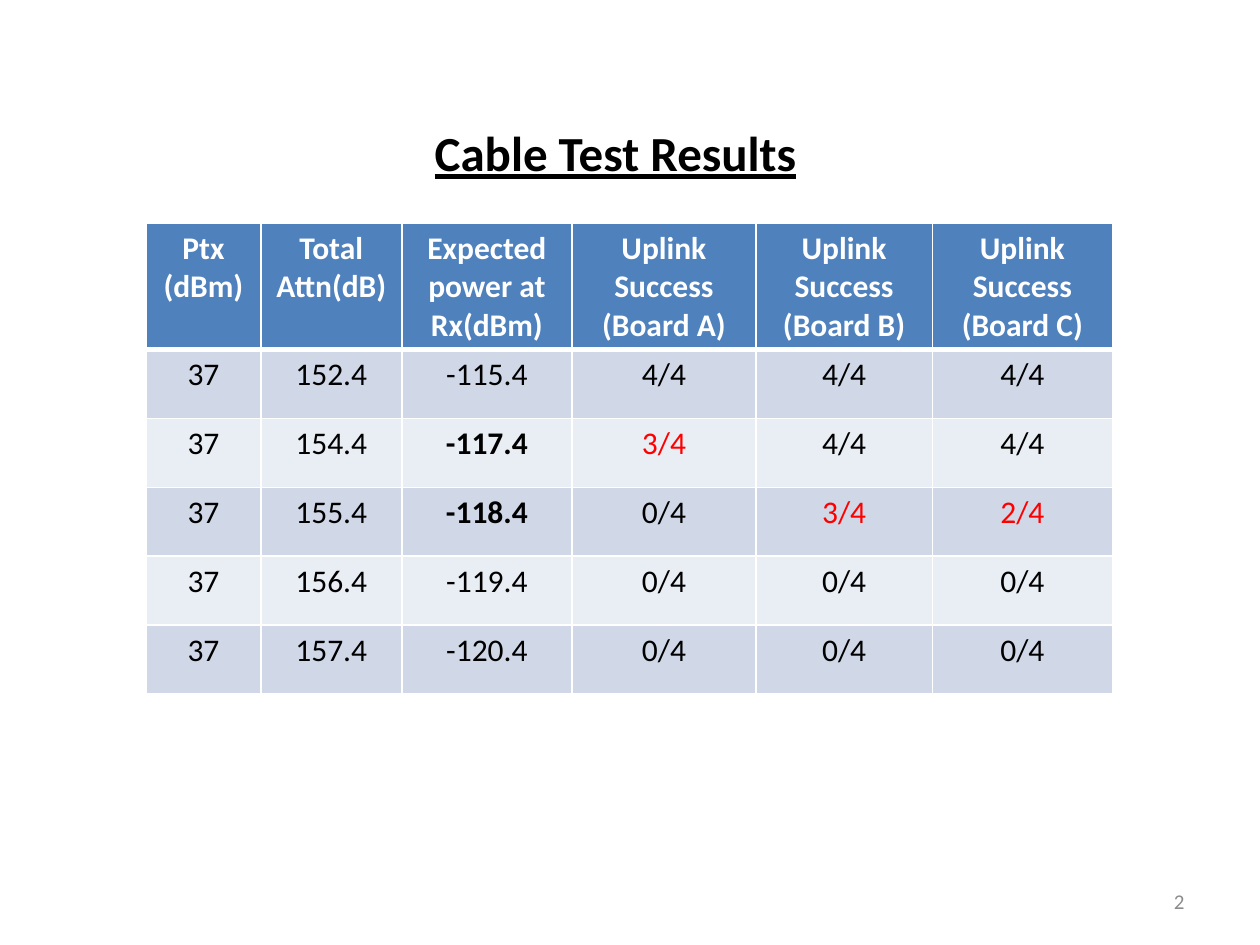
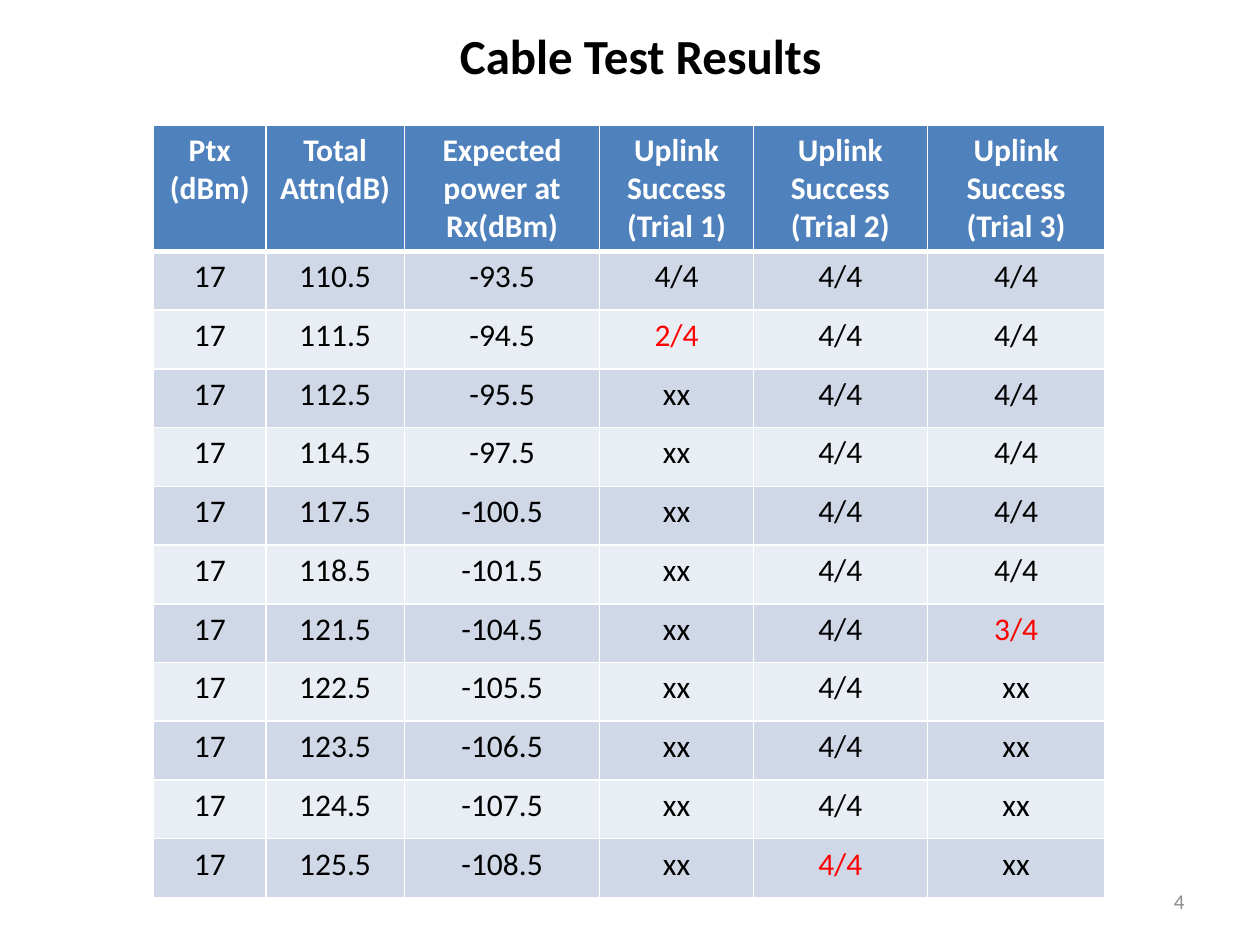
from dataclasses import dataclass

from lxml.etree import SubElement
from pptx import Presentation
from pptx.dml.color import RGBColor
from pptx.enum.text import MSO_ANCHOR, MSO_AUTO_SIZE, PP_ALIGN
from pptx.oxml.ns import qn
from pptx.presentation import Presentation as Deck
from pptx.slide import Slide
from pptx.table import _Cell as Cell
from pptx.util import Inches, Length, Pt

SLIDE_WIDTH = Inches(10)
SLIDE_HEIGHT = Inches(7.5)


@dataclass(frozen=True)
class Theme:
    font: str = "Calibri"
    title_size: int = 28
    table_size: int = 18
    number_size: int = 12
    text: str = "000000"
    header_text: str = "FFFFFF"
    alert: str = "FF0000"
    number: str = "8C8C8C"
    header_fill: str = "4F81BD"
    bands: tuple[str, str] = ("D0D8E8", "E9EDF4")
    rule: str = "FFFFFF"
    thin_rule: int = 1
    thick_rule: int = 3


THEME = Theme()


@dataclass(frozen=True)
class Reading:
    attenuation: float
    uplinks: str  # one result per uplink column
    alert_columns: tuple[int, ...] = ()
    bold_power: bool = False


@dataclass(frozen=True)
class ResultsPage:
    """Places and widths are percentages of the slide's width or height."""
    number: int
    underlined: bool
    title_at: tuple[float, float]
    table_at: tuple[float, float]
    column_widths: tuple[float, ...]
    row_height: float
    transmit_power: int
    uplink_names: tuple[str, ...]
    readings: tuple[Reading, ...]


HEADER_HEIGHT = 13.4
FIRST_UPLINK = 3

PAGES = (
    ResultsPage(
        number=2, underlined=True, title_at=(33.5, 12.27), table_at=(11.6, 23.6),
        column_widths=(9.1, 11.2, 13.5, 14.6, 14, 14.3), row_height=7.29,
        transmit_power=37, uplink_names=("Board A", "Board B", "Board C"),
        readings=(
            Reading(152.4, "4/4 4/4 4/4"),
            Reading(154.4, "3/4 4/4 4/4", (0,), bold_power=True),
            Reading(155.4, "0/4 3/4 2/4", (1, 2), bold_power=True),
            Reading(156.4, "0/4 0/4 0/4"),
            Reading(157.4, "0/4 0/4 0/4"),
        ),
    ),
    ResultsPage(
        number=4, underlined=False, title_at=(35.5, 2), table_at=(12.2, 13.2),
        column_widths=(8.9, 11, 15.5, 12.2, 13.8, 14.1), row_height=6.22,
        transmit_power=17, uplink_names=("Trial 1", "Trial 2", "Trial 3"),
        readings=(
            Reading(110.5, "4/4 4/4 4/4"),
            Reading(111.5, "2/4 4/4 4/4", (0,)),
            Reading(112.5, "xx 4/4 4/4"),
            Reading(114.5, "xx 4/4 4/4"),
            Reading(117.5, "xx 4/4 4/4"),
            Reading(118.5, "xx 4/4 4/4"),
            Reading(121.5, "xx 4/4 3/4", (2,)),
            Reading(122.5, "xx 4/4 xx"),
            Reading(123.5, "xx 4/4 xx"),
            Reading(124.5, "xx 4/4 xx"),
            Reading(125.5, "xx 4/4 xx", (1,)),
        ),
    ),
)


def across(percent: float) -> Length:
    return Length(round(SLIDE_WIDTH * percent / 100))


def down(percent: float) -> Length:
    return Length(round(SLIDE_HEIGHT * percent / 100))


def style_paragraph(paragraph, size: int, color: str, alignment: PP_ALIGN,
                    bold: bool = False) -> None:
    paragraph.alignment = alignment
    font = paragraph.font
    font.name, font.size, font.bold = THEME.font, Pt(size), bold
    font.color.rgb = RGBColor.from_string(color)


# Title and slide number
def add_title(slide: Slide, page: ResultsPage) -> None:
    title = slide.shapes.title
    left, top = page.title_at
    title.left, title.top = across(left), down(top)
    title.width, title.height = across(36.1), down(7.87)
    frame = title.text_frame
    frame.text = "Cable Test Results"
    frame.vertical_anchor = MSO_ANCHOR.TOP
    frame.auto_size = MSO_AUTO_SIZE.NONE
    paragraph = frame.paragraphs[0]
    style_paragraph(paragraph, THEME.title_size, THEME.text, PP_ALIGN.LEFT, bold=True)
    paragraph.font.underline = page.underlined


def add_slide_number(slide: Slide, number: int) -> None:
    box = slide.shapes.add_textbox(across(71.7), down(92.67), across(23.3), down(5.33))
    frame = box.text_frame
    frame.word_wrap = True
    frame.vertical_anchor = MSO_ANCHOR.MIDDLE
    frame.text = str(number)
    style_paragraph(frame.paragraphs[0], THEME.number_size, THEME.number, PP_ALIGN.RIGHT)


# Results table
def set_borders(cell: Cell, top: int, bottom: int) -> None:
    properties = cell._tc.get_or_add_tcPr()
    widths = {"a:lnL": THEME.thin_rule, "a:lnR": THEME.thin_rule,
              "a:lnT": top, "a:lnB": bottom}
    for position, (tag, width) in enumerate(widths.items()):
        line = SubElement(properties, qn(tag), w=str(Pt(width)))
        SubElement(SubElement(line, qn("a:solidFill")), qn("a:srgbClr"), val=THEME.rule)
        properties.insert(position, line)


def fill_cell(cell: Cell, text: str, fill: str, color: str, bold: bool,
              top: int = THEME.thin_rule, bottom: int = THEME.thin_rule) -> None:
    cell.text = text
    cell.fill.solid()
    cell.fill.fore_color.rgb = RGBColor.from_string(fill)
    for paragraph in cell.text_frame.paragraphs:
        style_paragraph(paragraph, THEME.table_size, color, PP_ALIGN.CENTER, bold)
    set_borders(cell, top, bottom)


def add_results_table(slide: Slide, page: ResultsPage) -> None:
    left, top = page.table_at
    row_heights = [HEADER_HEIGHT] + [page.row_height] * len(page.readings)
    table = slide.shapes.add_table(
        len(row_heights), len(page.column_widths), across(left), down(top),
        across(sum(page.column_widths)), down(sum(row_heights))).table
    for column, width in zip(table.columns, page.column_widths):
        column.width = across(width)
    for row, height in zip(table.rows, row_heights):
        row.height = down(height)

    # Header
    headings = ["Ptx (dBm)", "Total Attn(dB)", "Expected power at Rx(dBm)"]
    headings += [f"Uplink Success\n({name})" for name in page.uplink_names]
    for column, heading in enumerate(headings):
        fill_cell(table.cell(0, column), heading, THEME.header_fill,
                  THEME.header_text, bold=True, bottom=THEME.thick_rule)

    # Expected power is transmit power less attenuation
    for row, reading in enumerate(page.readings, start=1):
        expected_power = page.transmit_power - reading.attenuation
        values = [str(page.transmit_power), f"{reading.attenuation:.1f}",
                  f"{expected_power:.1f}", *reading.uplinks.split()]
        for column, value in enumerate(values):
            alert = column - FIRST_UPLINK in reading.alert_columns
            fill_cell(table.cell(row, column), value, THEME.bands[(row - 1) % 2],
                      THEME.alert if alert else THEME.text,
                      bold=reading.bold_power and column == FIRST_UPLINK - 1,
                      top=THEME.thick_rule if row == 1 else THEME.thin_rule)


def add_results_slide(presentation: Deck, page: ResultsPage) -> None:
    title_only = presentation.slide_layouts.get_by_name("Title Only")
    slide = presentation.slides.add_slide(title_only)
    add_slide_number(slide, page.number)
    add_title(slide, page)
    add_results_table(slide, page)


def main() -> None:
    presentation = Presentation()
    presentation.slide_width, presentation.slide_height = SLIDE_WIDTH, SLIDE_HEIGHT
    for page in PAGES:
        add_results_slide(presentation, page)
    presentation.save("out.pptx")


if __name__ == "__main__":
    main()
